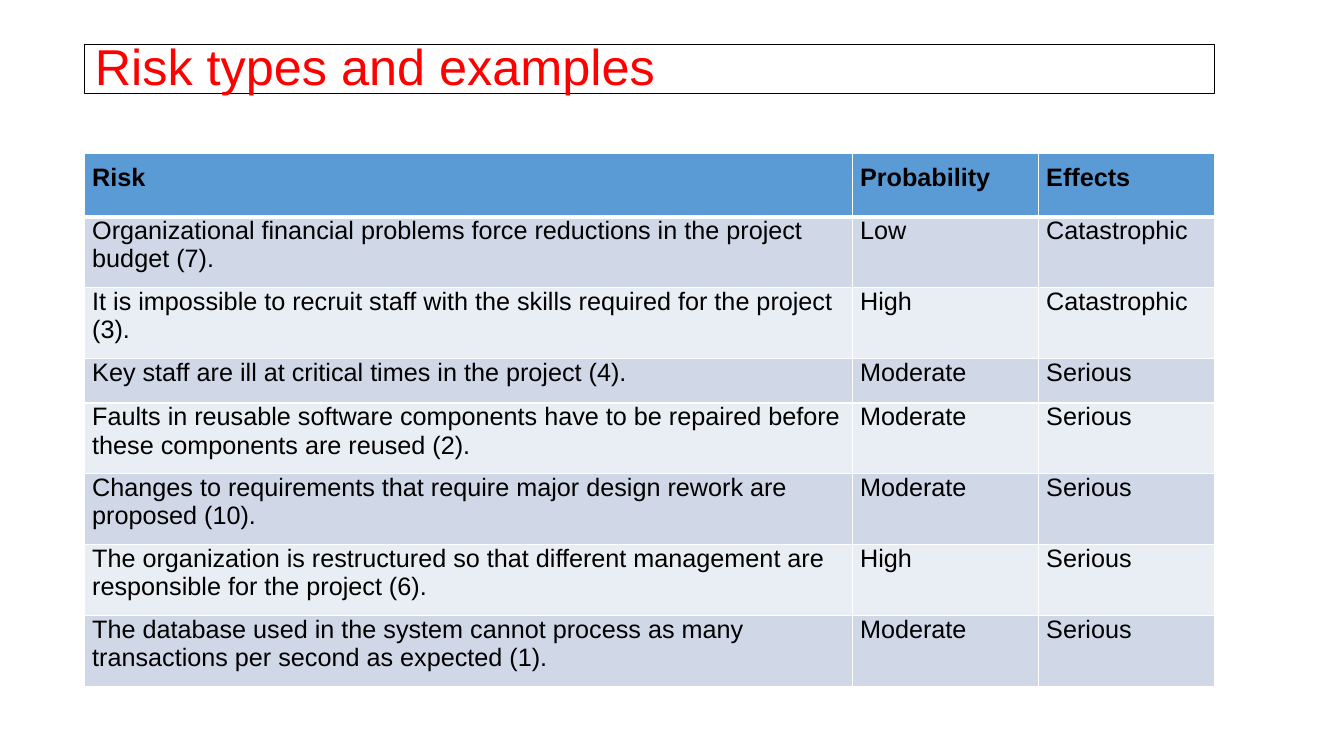
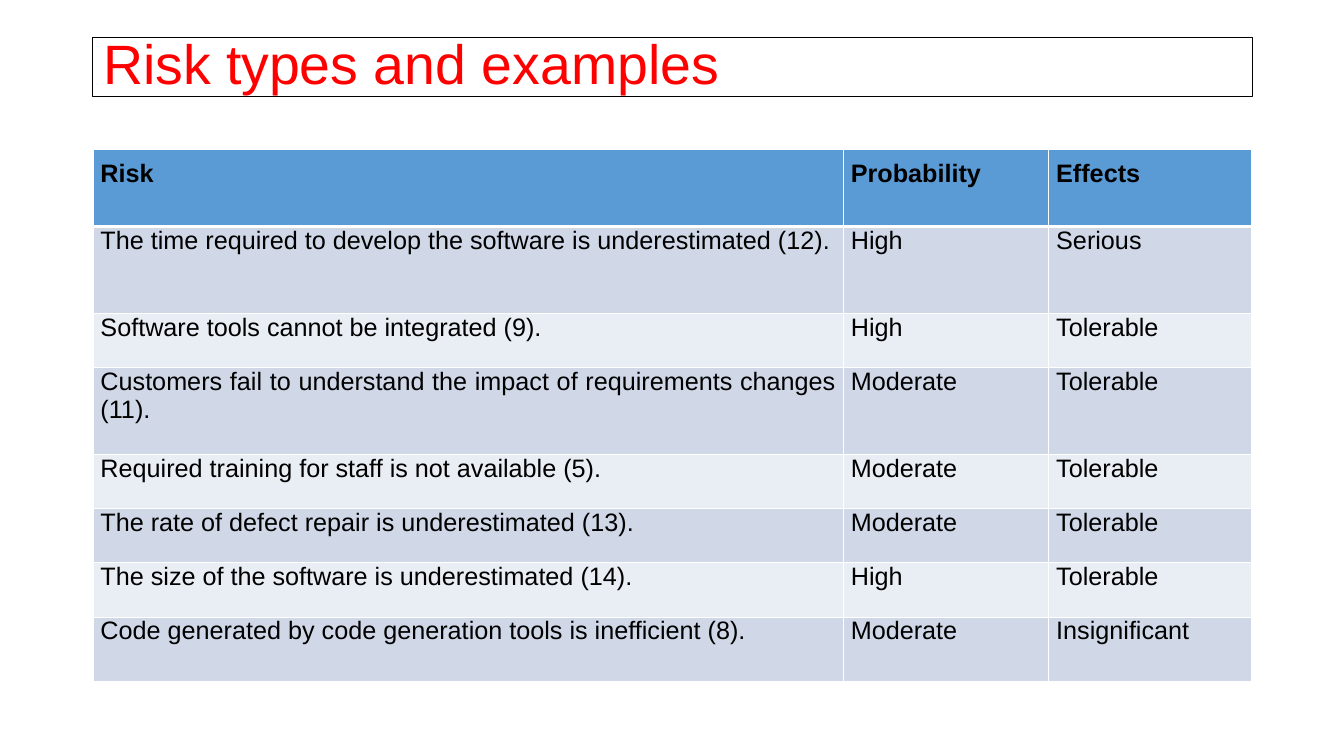
from lxml import etree
from pptx import Presentation
from pptx.dml.color import RGBColor
from pptx.enum import text as t
from pptx.oxml import ns
from pptx.util import Pt

HUES = {"title": "FF0000", "ink": "000000", "edge": "FFFFFF",
        "head": "5B9BD5", "odd": "D0D8E8", "even": "E9EDF4"}
FONT = "Arial"
TITLE = "Risk types and examples"
HEADS = ("Risk", "Probability", "Effects")
LEFT, JUST = t.PP_ALIGN.LEFT, t.PP_ALIGN.JUSTIFY

PAGES = [
    {
        "left": 60.5, "title": (31.7, 35.3, 36), "top": 109.4,
        "cols": (548.5, 133, 125.7), "align": LEFT,
        "rows": (45.4, 50.6, 50.6, 31.9, 50.6, 50.6, 50.6, 50.6),
        "risks": [
            ("Organizational financial problems force reductions in the project budget (7).", "Low", "Catastrophic"),
            ("It is impossible to recruit staff with the skills required for the project (3).", "High", "Catastrophic"),
            ("Key staff are ill at critical times in the project (4).", "Moderate", "Serious"),
            ("Faults in reusable software components have to be repaired before these components are reused (2).",
             "Moderate", "Serious"),
            ("Changes to requirements that require major design rework are proposed (10).", "Moderate", "Serious"),
            ("The organization is restructured so that different management are responsible for the project (6).",
             "High", "Serious"),
            ("The database used in the system cannot process as many transactions per second as expected (1).",
             "Moderate", "Serious"),
        ],
    },
    {
        "left": 66.4, "title": (26.6, 42.5, 39.6), "top": 106.7,
        "cols": (536, 146.7, 145.3), "align": JUST,
        "rows": (55, 62, 38.8, 62, 38.8, 38.8, 38.8, 46),
        "risks": [
            ("The time required to develop the software is underestimated (12).", "High", "Serious"),
            ("Software tools cannot be integrated (9).", "High", "Tolerable"),
            ("Customers fail to understand the impact of requirements changes (11).", "Moderate", "Tolerable"),
            ("Required training for staff is not available (5).", "Moderate", "Tolerable"),
            ("The rate of defect repair is underestimated (13).", "Moderate", "Tolerable"),
            ("The size of the software is underestimated (14).", "High", "Tolerable"),
            ("Code generated by code generation tools is inefficient (8).", "Moderate", "Insignificant"),
        ],
    },
]


def hue(name):
    return RGBColor.from_string(HUES[name])


def style(para, size, name, align, bold=False):
    para.alignment = align
    for run in para.runs:
        font = run.font
        font.name, font.size, font.bold = FONT, Pt(size), bold
        font.color.rgb = hue(name)


def add_title(slide, page):
    top, high, size = page["title"]
    box = slide.shapes.title
    box.left, box.top = Pt(page["left"]), Pt(top)
    box.width, box.height = Pt(sum(page["cols"])), Pt(high)
    box.line.color.rgb = hue("ink")
    box.line.width = Pt(0.75)
    frame = box.text_frame
    frame.text = TITLE
    frame.auto_size = t.MSO_AUTO_SIZE.NONE
    frame.vertical_anchor = t.MSO_ANCHOR.MIDDLE
    para = frame.paragraphs[0]
    para.line_spacing = 0.9
    style(para, size, "title", LEFT)


def edge(cell, row):
    props = cell._tc.get_or_add_tcPr()
    for at, side in enumerate("LRTB"):
        thick = (row, side) in ((0, "B"), (1, "T"))
        line = etree.Element(ns.qn("a:ln" + side), w=str(int(Pt(3 if thick else 1))))
        fill = etree.SubElement(line, ns.qn("a:solidFill"))
        etree.SubElement(fill, ns.qn("a:srgbClr"), val=HUES["edge"])
        props.insert(at, line)


def add_cell(cell, words, row, align):
    band = "head" if row == 0 else "odd" if row % 2 else "even"
    cell.fill.solid()
    cell.fill.fore_color.rgb = hue(band)
    cell.margin_left = cell.margin_right = Pt(5.4)
    cell.margin_top = Pt(0 if row else 7.2)
    cell.margin_bottom = Pt(7.2)
    cell.text_frame.text = words
    style(cell.text_frame.paragraphs[0], 18, "ink", align, row == 0)
    edge(cell, row)


def add_risks(slide, page):
    cols, rows = page["cols"], page["rows"]
    table = slide.shapes.add_table(
        len(rows), len(cols), Pt(page["left"]), Pt(page["top"]),
        Pt(sum(cols)), Pt(sum(rows))).table
    for col, wide in zip(table.columns, cols):
        col.width = Pt(wide)
    for row, high in zip(table.rows, rows):
        row.height = Pt(high)
    for r, line in enumerate([HEADS] + page["risks"]):
        for c, words in enumerate(line):
            align = page["align"] if r and c == 0 else JUST
            add_cell(table.cell(r, c), words, r, align)


def main():
    deck = Presentation()
    deck.slide_width, deck.slide_height = Pt(960), Pt(540)
    for page in PAGES:
        slide = deck.slides.add_slide(deck.slide_layouts[5])
        add_title(slide, page)
        add_risks(slide, page)
    deck.save("out.pptx")


if __name__ == "__main__":
    main()
